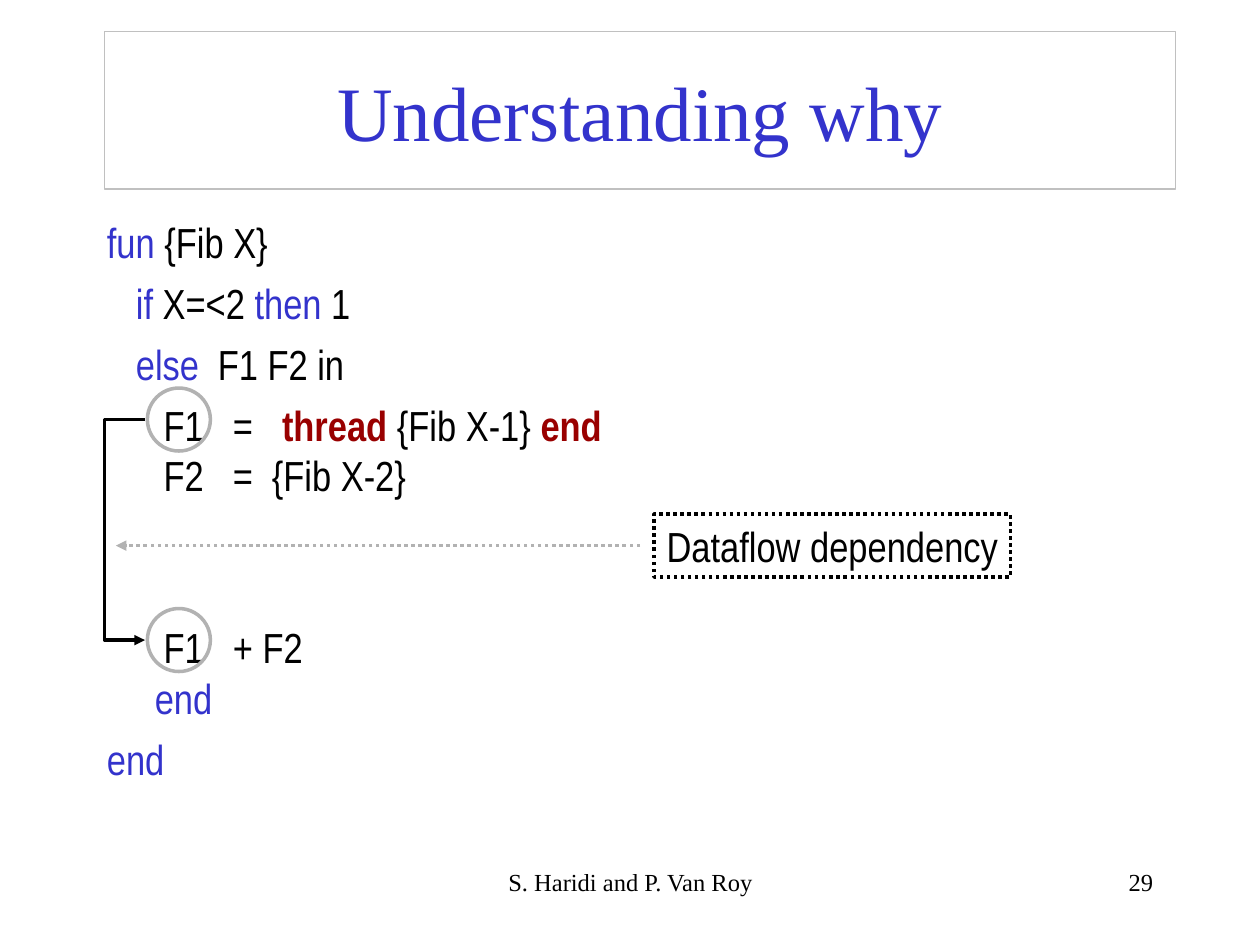
import pptx
import pptx.dml.color
import pptx.enum.dml
import pptx.enum.shapes
import pptx.enum.text
import pptx.oxml
import pptx.oxml.ns
import pptx.util
import lxml.etree

Inches = pptx.util.Inches
Pt = pptx.util.Pt
qn = pptx.oxml.ns.qn
Align = pptx.enum.text.PP_ALIGN
Shape = pptx.enum.shapes.MSO_SHAPE
Dash = pptx.enum.dml.MSO_LINE

COLORS = {"keyword": "3333CC", "thread": "990000", "code": "000000",
          "mark": "B2B2B2", "frame": "C0C0C0"}
CODE = {"name": "Arial Narrow", "size": Pt(24)}
FOOTER = {"name": "Times New Roman", "size": Pt(14)}
TITLE = {"name": "Times New Roman", "size": Pt(44)}


def add_span(para, text, color, font):
    span = para.add_run()
    span.text = text
    for name, value in font.items():
        setattr(span.font, name, value)
    span.font.color.rgb = pptx.dml.color.RGBColor.from_string(COLORS[color])


def style_line(shape, color, width=2, dash=None, arrow=False):
    shape.line.color.rgb = pptx.dml.color.RGBColor.from_string(COLORS[color])
    shape.line.width = Pt(width)
    if dash:
        shape.line.dash_style = dash
    if arrow:
        lxml.etree.SubElement(shape.line._get_or_add_ln(), qn("a:tailEnd"), type="triangle")


deck = pptx.Presentation()
deck.slide_width, deck.slide_height = Inches(10), Inches(7.5)
page = deck.slides.add_slide(deck.slide_layouts[5])

title = page.shapes.title
title.left, title.top = Inches(0.83), Inches(0.25)
title.width, title.height = Inches(8.5), Inches(1.25)
title.text_frame.auto_size = pptx.enum.text.MSO_AUTO_SIZE.NONE
title.text_frame.vertical_anchor = pptx.enum.text.MSO_ANCHOR.MIDDLE
title.text_frame.paragraphs[0].alignment = Align.CENTER
add_span(title.text_frame.paragraphs[0], "Understanding why", "keyword", TITLE)
style_line(title, "frame", 0.75)

code_lines = [
    (6, [], [("fun", "keyword"), (" {Fib X}", "code")]),
    (6, [0.23], [("\tif", "keyword"), (" X=<2 ", "code"), ("then", "keyword"), (" 1", "code")]),
    (6, [0.23, 0.88], [("\telse", "keyword"), ("\tF1 F2 in", "code")]),
    (6, [0.45, 1, 1.39], [("\tF1\t=\t", "code"), ("thread", "thread"),
                          (" {Fib X-1} ", "code"), ("end", "thread")]),
    (0, [0.45, 1, 1.31], [("\tF2\t=\t{Fib X-2}", "code")]),
    (69.5, [0.45, 1], [("\tF1\t+ F2", "code")]),
    (0, [0.38], [("\tend", "keyword")]),
    (6, [], [("end", "keyword")]),
]
code_box = page.shapes.add_textbox(Inches(0.75), Inches(1.67), Inches(4.42), Inches(5))
code_box.text_frame.word_wrap = True
for index, (space, stops, spans) in enumerate(code_lines):
    para = code_box.text_frame.add_paragraph() if index else code_box.text_frame.paragraphs[0]
    para.space_before = Pt(space)
    if stops:
        tab_list = lxml.etree.SubElement(para._p.get_or_add_pPr(), qn("a:tabLst"))
        for stop in stops:
            lxml.etree.SubElement(tab_list, qn("a:tab"), pos=str(Inches(stop)), algn="l")
    for text, color in spans:
        add_span(para, text, color, {**CODE, "bold": color == "thread"})

for top in (3.08, 4.83):
    circle = page.shapes.add_shape(Shape.OVAL, Inches(1.17), Inches(top), Inches(0.5), Inches(0.5))
    circle.shadow.inherit = False
    circle.fill.background()
    style_line(circle, "mark")

label = page.shapes.add_shape(Shape.RECTANGLE, Inches(5.19), Inches(4.08), Inches(2.83), Inches(0.5))
label.shadow.inherit = False
label.fill.background()
style_line(label, "code", dash=Dash.ROUND_DOT)
label.text_frame.word_wrap = False
label.text_frame.paragraphs[0].alignment = Align.CENTER
add_span(label.text_frame.paragraphs[0], "Dataflow dependency", "code", CODE)

pointer = page.shapes.add_connector(pptx.enum.shapes.MSO_CONNECTOR.STRAIGHT,
                                    Inches(5.08), Inches(4.33), Inches(0.92), Inches(4.33))
style_line(pointer, "mark", dash=Dash.ROUND_DOT, arrow=True)
lxml.etree.SubElement(pointer._element.spPr, qn("a:effectLst"))

builder = page.shapes.build_freeform(Inches(1.15), Inches(3.33))
builder.add_line_segments([(Inches(x), Inches(y)) for x, y in
                           ((0.83, 3.33), (0.83, 5.08), (1.15, 5.08))], close=False)
dependency = builder.convert_to_shape()
dependency.shadow.inherit = False
dependency.fill.background()
style_line(dependency, "code", arrow=True)

for left, width, text, alignment in ((3.42, 3.17, "S. Haridi and P. Van Roy", Align.CENTER),
                                     (7.17, 2.08, "29", Align.RIGHT)):
    footer = page.shapes.add_textbox(Inches(left), Inches(6.83), Inches(width), Inches(0.5))
    footer.text_frame.word_wrap = True
    footer.text_frame.paragraphs[0].alignment = alignment
    add_span(footer.text_frame.paragraphs[0], text, "code", FOOTER)

deck.save("out.pptx")
